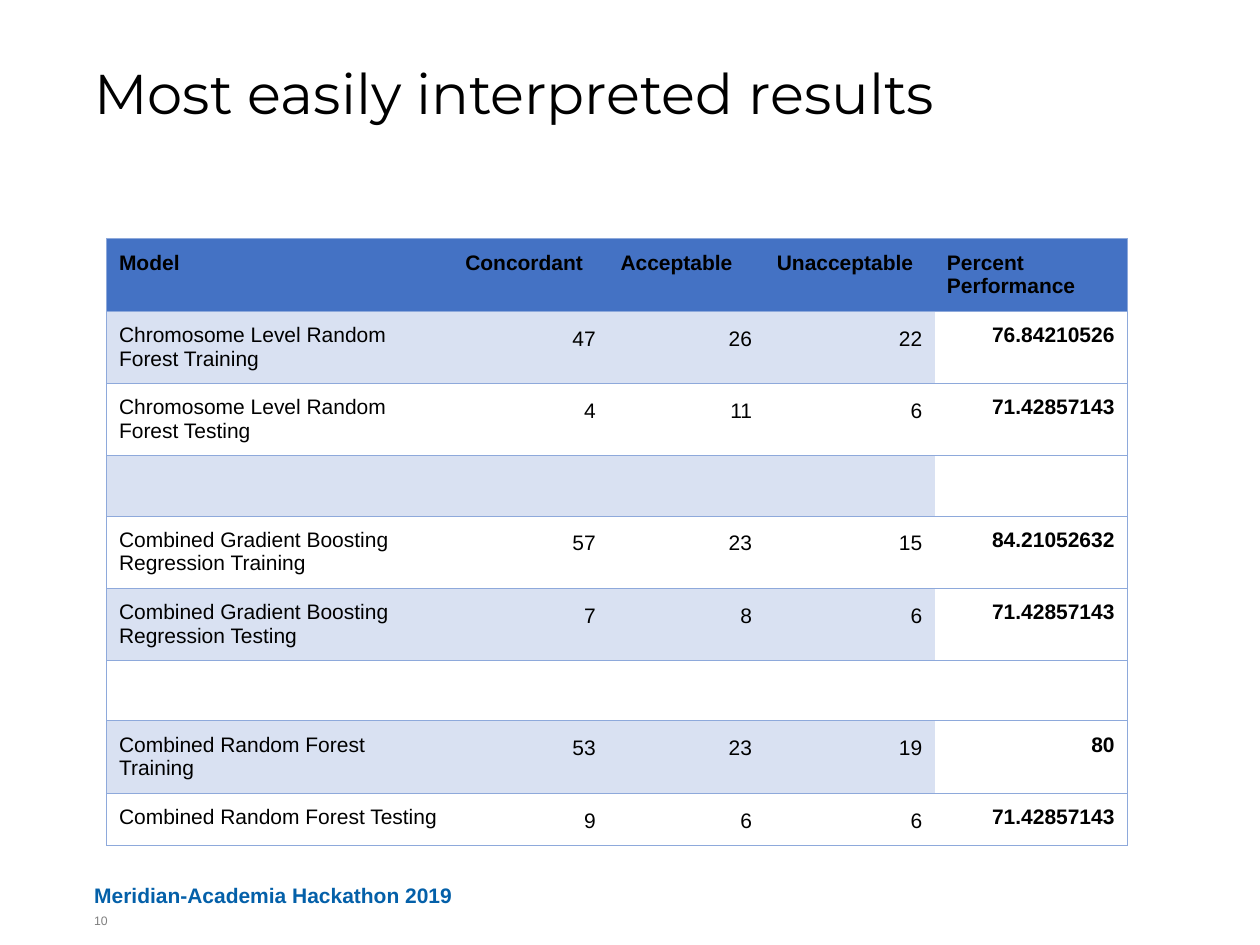
from dataclasses import dataclass

from lxml import etree
from pptx import Presentation
from pptx import util as u
from pptx.dml.color import RGBColor
from pptx.enum import text
from pptx.oxml.ns import qn

PLAIN_TABLE_STYLE = "{2D5ABB26-0587-4C30-8999-92F81FD0307C}"

HEADINGS = ["Model", "Concordant", "Acceptable", "Unacceptable", "Percent Performance"]
BLANK = [""] * len(HEADINGS)
RESULTS = [
    ["Chromosome Level Random Forest Training", "47", "26", "22", "76.84210526"],
    ["Chromosome Level Random Forest Testing", "4", "11", "6", "71.42857143"],
    BLANK,
    ["Combined Gradient Boosting Regression Training", "57", "23", "15", "84.21052632"],
    ["Combined Gradient Boosting Regression Testing", "7", "8", "6", "71.42857143"],
    BLANK,
    ["Combined Random Forest Training", "53", "23", "19", "80"],
    ["Combined Random Forest Testing", "9", "6", "6", "71.42857143"],
]
COLUMN_WIDTHS = [6.98, 3.13, 3.15, 3.43, 3.88]
TWO_LINES, GAP, ONE_LINE = 1.46, 1.21, 1.06
ROW_HEIGHTS = [TWO_LINES] * 3 + [GAP] + [TWO_LINES] * 2 + [GAP, TWO_LINES, ONE_LINE]


@dataclass(frozen=True)
class Theme:
    title_font: str = "Montserrat"
    body_font: str = "Arial"
    title_size: float = 32
    body_size: float = 12
    number_size: float = 7
    ink: str = "000000"
    footer: str = "0460A9"
    number: str = "7F7F7F"
    header: str = "4472C4"
    band: str = "D9E1F2"
    paper: str = "FFFFFF"
    border: str = "8EA9DB"
    border_width: float = 0.5


class SlideBuilder:
    def __init__(self, slide, theme):
        self.slide = slide
        self.theme = theme

    def format_paragraph(self, paragraph, size, color, font=None, bold=False):
        targets = [run.font for run in paragraph.runs] or [paragraph.font]
        for target in targets:
            target.name = font or self.theme.body_font
            target.size = u.Pt(size)
            target.bold = bold
            target.color.rgb = RGBColor.from_string(color)

    def prepare_frame(self, frame, anchor):
        frame.margin_left = frame.margin_right = 0
        frame.margin_top = frame.margin_bottom = 0
        frame.word_wrap = True
        frame.auto_size = text.MSO_AUTO_SIZE.NONE
        frame.vertical_anchor = anchor

    def title(self, wording, left, top, width, height):
        shape = self.slide.shapes.title
        shape.left, shape.top = u.Cm(left), u.Cm(top)
        shape.width, shape.height = u.Cm(width), u.Cm(height)
        self.prepare_frame(shape.text_frame, text.MSO_ANCHOR.TOP)
        shape.text_frame.text = wording
        paragraph = shape.text_frame.paragraphs[0]
        paragraph.alignment = text.PP_ALIGN.LEFT
        paragraph.line_spacing = 0.95
        self.format_paragraph(paragraph, self.theme.title_size, self.theme.ink,
                              self.theme.title_font)

    def label(self, wording, left, top, width, height, size, color,
              bold=False, anchor=text.MSO_ANCHOR.TOP):
        shape = self.slide.shapes.add_textbox(
            u.Cm(left), u.Cm(top), u.Cm(width), u.Cm(height))
        self.prepare_frame(shape.text_frame, anchor)
        shape.text_frame.text = wording
        self.format_paragraph(shape.text_frame.paragraphs[0], size, color, bold=bold)

    def results_table(self, rows, left, top, widths, heights):
        shape = self.slide.shapes.add_table(
            len(rows), len(widths), u.Cm(left), u.Cm(top),
            u.Cm(sum(widths)), u.Cm(sum(heights)))
        table = shape.table
        table.first_row = table.horz_banding = False
        table._tbl.tblPr.find(qn("a:tableStyleId")).text = PLAIN_TABLE_STYLE
        for column, width in zip(table.columns, widths):
            column.width = u.Cm(width)
        for row, height in zip(table.rows, heights):
            row.height = u.Cm(height)
        last = len(widths) - 1
        for i, row in enumerate(rows):
            for j, wording in enumerate(row):
                cell = table.cell(i, j)
                self.fill_cell(cell, wording, i, j, last)
                self.border_cell(cell, first=j == 0, last=j == last)
                cell.fill.solid()
                cell.fill.fore_color.rgb = RGBColor.from_string(
                    self.cell_color(i, j == last))

    def cell_color(self, row, is_last_column):
        if row == 0:
            return self.theme.header
        return self.theme.band if row % 2 and not is_last_column else self.theme.paper

    def fill_cell(self, cell, wording, row, column, last):
        cell.margin_left = cell.margin_right = u.Cm(0.25)
        cell.margin_top = cell.margin_bottom = u.Cm(0.25)
        cell.text_frame.text = wording
        paragraph = cell.text_frame.paragraphs[0]
        if row and column:
            paragraph.alignment = text.PP_ALIGN.RIGHT
            if column < last:
                paragraph.line_spacing = 1.15
        self.format_paragraph(paragraph, self.theme.body_size, self.theme.ink,
                              bold=row == 0 or column == last)

    def border_cell(self, cell, first, last):
        """Rule above and below every cell, and at the table's outer sides."""
        properties = cell._tc.get_or_add_tcPr()
        edges = ["lnL"] * first + ["lnR"] * last + ["lnT", "lnB"]
        for edge in edges:
            line = etree.SubElement(properties, qn(f"a:{edge}"),
                                    w=str(u.Pt(self.theme.border_width)))
            fill = etree.SubElement(line, qn("a:solidFill"))
            etree.SubElement(fill, qn("a:srgbClr"), val=self.theme.border)


def main():
    presentation = Presentation()
    presentation.slide_width, presentation.slide_height = u.Cm(25.4), u.Cm(19.05)
    theme = Theme()
    title_only = presentation.slide_layouts[5]
    builder = SlideBuilder(presentation.slides.add_slide(title_only), theme)
    margin = 1.9

    builder.title("Most easily interpreted results", margin, 1.27, 21.59, 2.67)
    builder.results_table([HEADINGS] + RESULTS, 2.15, 4.81, COLUMN_WIDTHS, ROW_HEIGHTS)
    builder.label("Meridian-Academia Hackathon 2019", margin, 17.65, 16.51, 0.64,
                  theme.body_size, theme.footer, bold=True,
                  anchor=text.MSO_ANCHOR.BOTTOM)
    builder.label("10", margin, 18.42, 0.64, 0.64, theme.number_size, theme.number)
    presentation.save("out.pptx")


if __name__ == "__main__":
    main()
